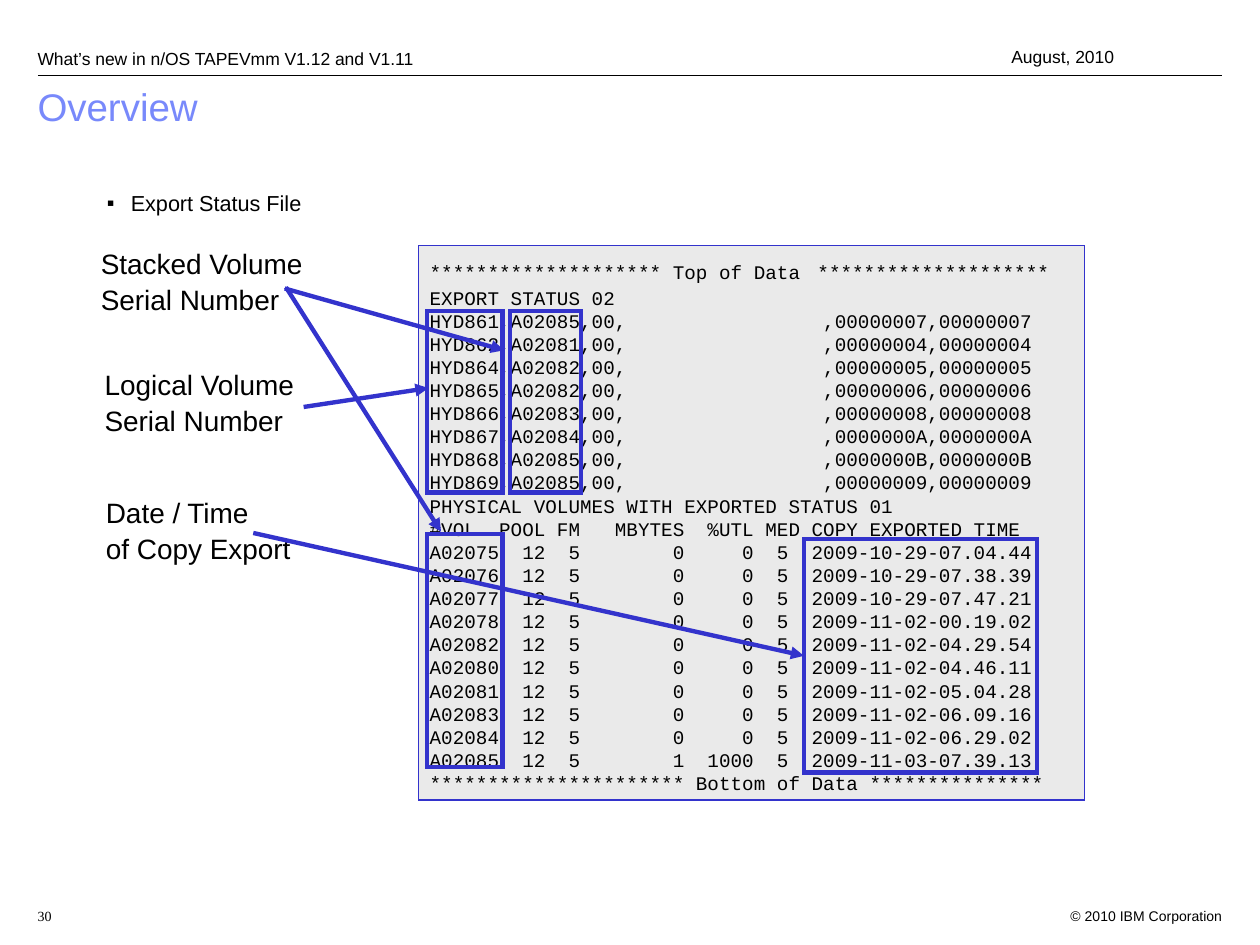
from dataclasses import dataclass

from lxml import etree
from pptx import Presentation
from pptx.dml.color import RGBColor
from pptx.enum.shapes import MSO_CONNECTOR, MSO_SHAPE
from pptx.enum.text import MSO_ANCHOR, PP_ALIGN
from pptx.oxml.ns import qn
from pptx.util import Inches, Pt

RECTANGLE, ROUNDED = MSO_SHAPE.RECTANGLE, MSO_SHAPE.ROUNDED_RECTANGLE
STRAIGHT = MSO_CONNECTOR.STRAIGHT
TOP, BOTTOM = MSO_ANCHOR.TOP, MSO_ANCHOR.BOTTOM
LEFT, RIGHT = PP_ALIGN.LEFT, PP_ALIGN.RIGHT
LEFT_SIDE = 1


@dataclass(frozen=True)
class Theme:
    """Colours, fonts and type sizes of the slide."""
    ink: RGBColor = RGBColor(0x00, 0x00, 0x00)
    title: RGBColor = RGBColor(0x78, 0x89, 0xFB)
    accent: RGBColor = RGBColor(0x33, 0x33, 0xCC)
    panel: RGBColor = RGBColor(0xEA, 0xEA, 0xEA)
    sans: str = "Arial"
    serif: str = "Times New Roman"
    mono: str = "Courier New"
    footer_size: float = 8
    header_size: float = 10
    code_size: float = 11
    bullet_size: float = 12.4
    label_size: float = 16
    title_size: float = 22
    thin: float = 0.75
    thick: float = 2.5


THEME = Theme()

EXPORTED = [
    ("HYD861", "A02085", "00000007"), ("HYD862", "A02081", "00000004"),
    ("HYD864", "A02082", "00000005"), ("HYD865", "A02082", "00000006"),
    ("HYD866", "A02083", "00000008"), ("HYD867", "A02084", "0000000A"),
    ("HYD868", "A02085", "0000000B"), ("HYD869", "A02085", "00000009"),
]
PHYSICAL = [
    ("A02075", 0, 0, "2009-10-29-07.04.44"), ("A02076", 0, 0, "2009-10-29-07.38.39"),
    ("A02077", 0, 0, "2009-10-29-07.47.21"), ("A02078", 0, 0, "2009-11-02-00.19.02"),
    ("A02082", 0, 0, "2009-11-02-04.29.54"), ("A02080", 0, 0, "2009-11-02-04.46.11"),
    ("A02081", 0, 0, "2009-11-02-05.04.28"), ("A02083", 0, 0, "2009-11-02-06.09.16"),
    ("A02084", 0, 0, "2009-11-02-06.29.02"), ("A02085", 1, 1000, "2009-11-03-07.39.13"),
]
LABELS = [
    ((0.71, 1.93, 1.86, 0.62), ["Stacked Volume", "Serial Number"]),
    ((0.74, 2.89, 1.76, 0.62), ["Logical Volume", "Serial Number"]),
    ((0.75, 3.91, 1.65, 0.62), ["Date / Time", "of Copy Export"]),
]
COLUMN_FRAMES = [(3.39, 2.47, 0.6, 1.44), (4.05, 2.47, 0.56, 1.44), (3.39, 4.24, 0.6, 1.85)]
DATE_FRAME = (6.38, 4.28, 1.85, 1.85)
ARROWS = [((2.26, 2.29), (4, 2.78)), ((2.41, 3.23), (3.4, 3.08)), ((2.27, 2.28), (3.5, 4.22))]


def status_lines():
    """Return the lines of the export status file, the first as (text, size) runs."""
    stars, size = "*" * 20, THEME.code_size
    top = [(f"{stars} Top of Data", size), (" ", THEME.label_size), (stars, size)]
    exported = [f"{logical},{stacked},00,{'':17},{number},{number}"
                for logical, stacked, number in EXPORTED]
    physical = [f"{volume}  12  5 {mbytes:8} {used:5}  5  {time}"
                for volume, mbytes, used, time in PHYSICAL]
    return [top, "EXPORT STATUS 02", *exported,
            "PHYSICAL VOLUMES WITH EXPORTED STATUS 01",
            "#VOL  POOL FM   MBYTES  %UTL MED COPY EXPORTED TIME", *physical,
            f"{'*' * 22} Bottom of Data {'*' * 15}"]


def write(frame, lines, *, size=THEME.header_size, font=THEME.sans, color=THEME.ink,
          align=LEFT, anchor=TOP, insets=(0.1, 0.05, 0.1, 0.05),
          first_spacing=1.0, spacing=1.0, bullet=None):
    """Fill a text frame with lines, each a string or a list of (text, size) runs."""
    frame.word_wrap = True
    frame.vertical_anchor = anchor
    (frame.margin_left, frame.margin_top,
     frame.margin_right, frame.margin_bottom) = map(Inches, insets)
    for index, line in enumerate(lines):
        paragraph = frame.add_paragraph() if index else frame.paragraphs[0]
        paragraph.alignment = align
        paragraph.line_spacing = spacing if index else first_spacing
        if bullet:
            add_bullet(paragraph, bullet)
        for text, run_size in [(line, size)] if isinstance(line, str) else line:
            run = paragraph.add_run()
            run.text = text
            run.font.name = font
            run.font.size = Pt(run_size)
            run.font.color.rgb = color


def add_bullet(paragraph, mark):
    """Give a paragraph a hanging bullet."""
    properties = paragraph._p.get_or_add_pPr()
    properties.set("marL", str(Inches(0.19)))
    properties.set("indent", str(-Inches(0.19)))
    etree.SubElement(properties, qn("a:buFont"), typeface=THEME.sans)
    etree.SubElement(properties, qn("a:buChar"), char=mark)


def add_text(slide, box, lines, **style):
    """Add a text box."""
    write(slide.shapes.add_textbox(*map(Inches, box)).text_frame, lines, **style)


def add_label(slide, box, lines):
    """Add a label on an unfilled rounded rectangle."""
    label = slide.shapes.add_shape(ROUNDED, *map(Inches, box))
    label.adjustments[0] = 0
    label.shadow.inherit = False
    label.fill.background()
    label.line.fill.background()
    write(label.text_frame, lines, size=THEME.label_size,
          insets=(0.09, 0.04, 0, 0.04), first_spacing=0.97, spacing=1.04)


def add_box(slide, box, width, fill=None):
    """Add a rectangle with a sharp-cornered outline."""
    rectangle = slide.shapes.add_shape(RECTANGLE, *map(Inches, box))
    rectangle.shadow.inherit = False
    rectangle.line.color.rgb = THEME.accent
    rectangle.line.width = Pt(width)
    etree.SubElement(rectangle.line._get_or_add_ln(), qn("a:miter"), lim="800000")
    if fill is None:
        rectangle.fill.background()
    else:
        rectangle.fill.solid()
        rectangle.fill.fore_color.rgb = fill
    return rectangle


def add_line(slide, start, end, color, width, arrow=False):
    """Add a straight line, with an arrowhead at its end on request."""
    line = slide.shapes.add_connector(STRAIGHT, *map(Inches, start + end))
    line.line.color.rgb = color
    line.line.width = Pt(width)
    if arrow:
        etree.SubElement(line.line._get_or_add_ln(), qn("a:tailEnd"), type="triangle")
    etree.SubElement(line._element.spPr, qn("a:effectLst"))
    return line


def add_page_frame(slide):
    """Add the header, rule and footer."""
    add_line(slide, (0.3, 0.6), (9.7, 0.6), THEME.ink, THEME.thin)
    add_text(slide, (8.3, 7.15, 1.5, 0.2), ["© 2010 IBM Corporation"],
             size=THEME.footer_size, align=RIGHT)
    header = dict(anchor=BOTTOM, insets=(0.1, 0, 0.1, 0))
    add_text(slide, (0.2, 0.15, 4.7, 0.4),
             ["What’s new in n/OS TAPEVmm V1.12 and V1.11"], **header)
    add_text(slide, (4.24, 0.13, 4.7, 0.4), ["August, 2010"], align=RIGHT, **header)
    add_text(slide, (0.2, 7.15, 0.4, 0.2), ["30"], size=THEME.footer_size, font=THEME.serif)


def add_status_file(slide):
    """Add the listing panel with its framed columns, labels and arrows."""
    panel = add_box(slide, (3.32, 1.95, 5.29, 4.4), THEME.thin, THEME.panel)
    write(panel.text_frame, status_lines(), size=THEME.code_size, font=THEME.mono,
          insets=(0.09, 0.06, 0.09, 0.05), first_spacing=0.97)
    for box in COLUMN_FRAMES:
        add_box(slide, box, THEME.thick)
    dates = add_box(slide, DATE_FRAME, THEME.thick)
    for box, lines in LABELS:
        add_label(slide, box, lines)
    for start, end in ARROWS:
        add_line(slide, start, end, THEME.accent, THEME.thick, arrow=True)
    to_dates = add_line(slide, (2.01, 4.23), (6.38, 5.21), THEME.accent, THEME.thick, arrow=True)
    to_dates.end_connect(dates, LEFT_SIDE)


def main():
    """Build the slide and save it."""
    deck = Presentation()
    deck.slide_width, deck.slide_height = Inches(10), Inches(7.5)
    slide = deck.slides.add_slide(deck.slide_layouts[6])
    add_page_frame(slide)
    add_text(slide, (0.2, 0.65, 9.5, 1.3), ["Overview"],
             size=THEME.title_size, color=THEME.title, first_spacing=0.9)
    add_text(slide, (0.75, 1.46, 8.5, 0.31), ["Export Status File"],
             size=THEME.bullet_size, bullet="▪")
    add_status_file(slide)
    deck.save("out.pptx")


if __name__ == "__main__":
    main()
